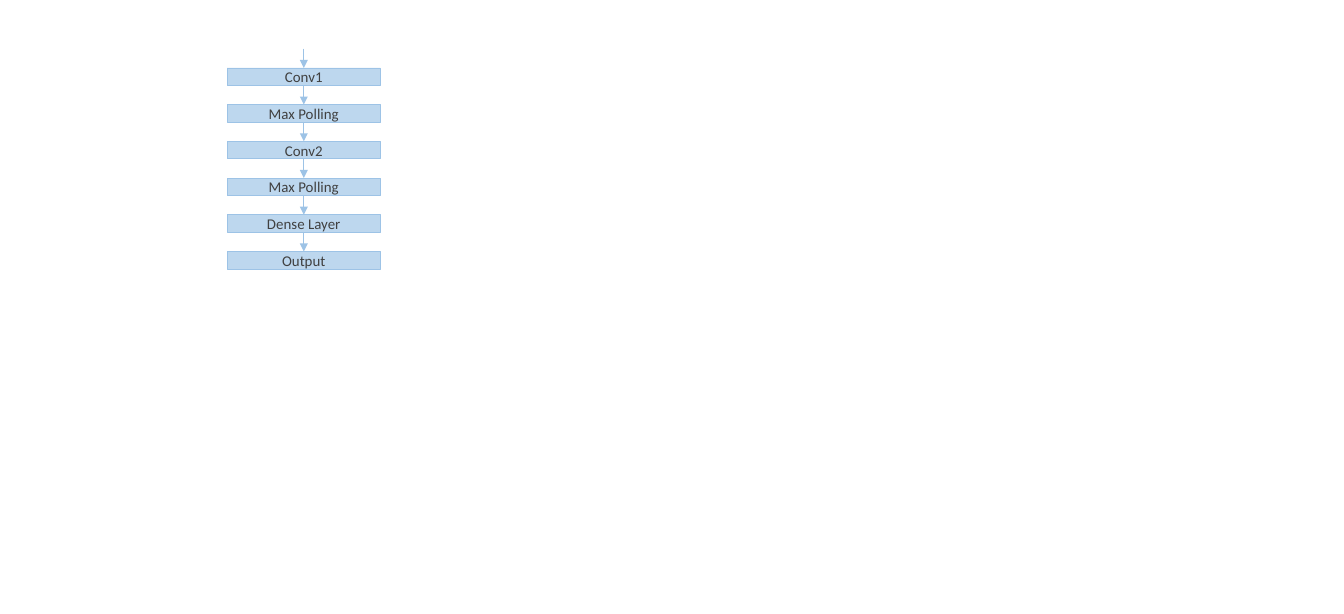
import pptx
import pptx.dml.color
import pptx.enum.shapes
import pptx.enum.text
import pptx.oxml.ns
import pptx.util
from lxml import etree
from pptx.util import Inches

COLORS = {"layer": "BDD7EE", "line": "9DC3E6", "text": "404040"}
LAYERS = ["Conv1", "Max Polling", "Conv2", "Max Polling", "Dense Layer", "Output"]
LAYER_HEIGHT = 0.18


def color(name):
    return pptx.dml.color.RGBColor.from_string(COLORS[name])


def style_line(line):
    line.color.rgb = color("line")
    line.width = pptx.util.Pt(0.5)


def add_layer(slide, label, left, top, width, height):
    shape = slide.shapes.add_shape(
        pptx.enum.shapes.MSO_SHAPE.RECTANGLE,
        Inches(left), Inches(top), Inches(width), Inches(height))
    shape.shadow.inherit = False
    shape.fill.solid()
    shape.fill.fore_color.rgb = color("layer")
    style_line(shape.line)

    frame = shape.text_frame
    frame.word_wrap = True
    frame.margin_top = frame.margin_bottom = 0
    frame.vertical_anchor = pptx.enum.text.MSO_ANCHOR.MIDDLE
    paragraph = frame.paragraphs[0]
    paragraph.alignment = pptx.enum.text.PP_ALIGN.CENTER
    run = paragraph.add_run()
    run.text = label
    run.font.name = "Calibri"
    run.font.size = pptx.util.Pt(11)
    run.font.color.rgb = color("text")


def add_down_arrow(slide, center, top, bottom):
    arrow = slide.shapes.add_connector(
        pptx.enum.shapes.MSO_CONNECTOR.STRAIGHT,
        Inches(center), Inches(top), Inches(center), Inches(bottom))
    style_line(arrow.line)
    properties = arrow.element.spPr
    line = properties.find(pptx.oxml.ns.qn("a:ln"))
    etree.SubElement(line, pptx.oxml.ns.qn("a:tailEnd"), type="triangle")
    etree.SubElement(properties, pptx.oxml.ns.qn("a:effectLst"))


def add_network(slide, left, top, width, height):
    """Stack the layers down the box, each with an arrow leading into it."""
    step = height / len(LAYERS)
    for index, label in enumerate(LAYERS):
        arrow_top = top + index * step
        layer_top = arrow_top + step - LAYER_HEIGHT
        add_layer(slide, label, left, layer_top, width, LAYER_HEIGHT)
        add_down_arrow(slide, left + width / 2, arrow_top, layer_top)


def main():
    presentation = pptx.Presentation()
    presentation.slide_width = Inches(13.78)
    presentation.slide_height = Inches(6.3)
    slide = presentation.slides.add_slide(presentation.slide_layouts[6])
    add_network(slide, 2.33, 0.5, 1.57, 2.26)
    presentation.save("out.pptx")


if __name__ == "__main__":
    main()
